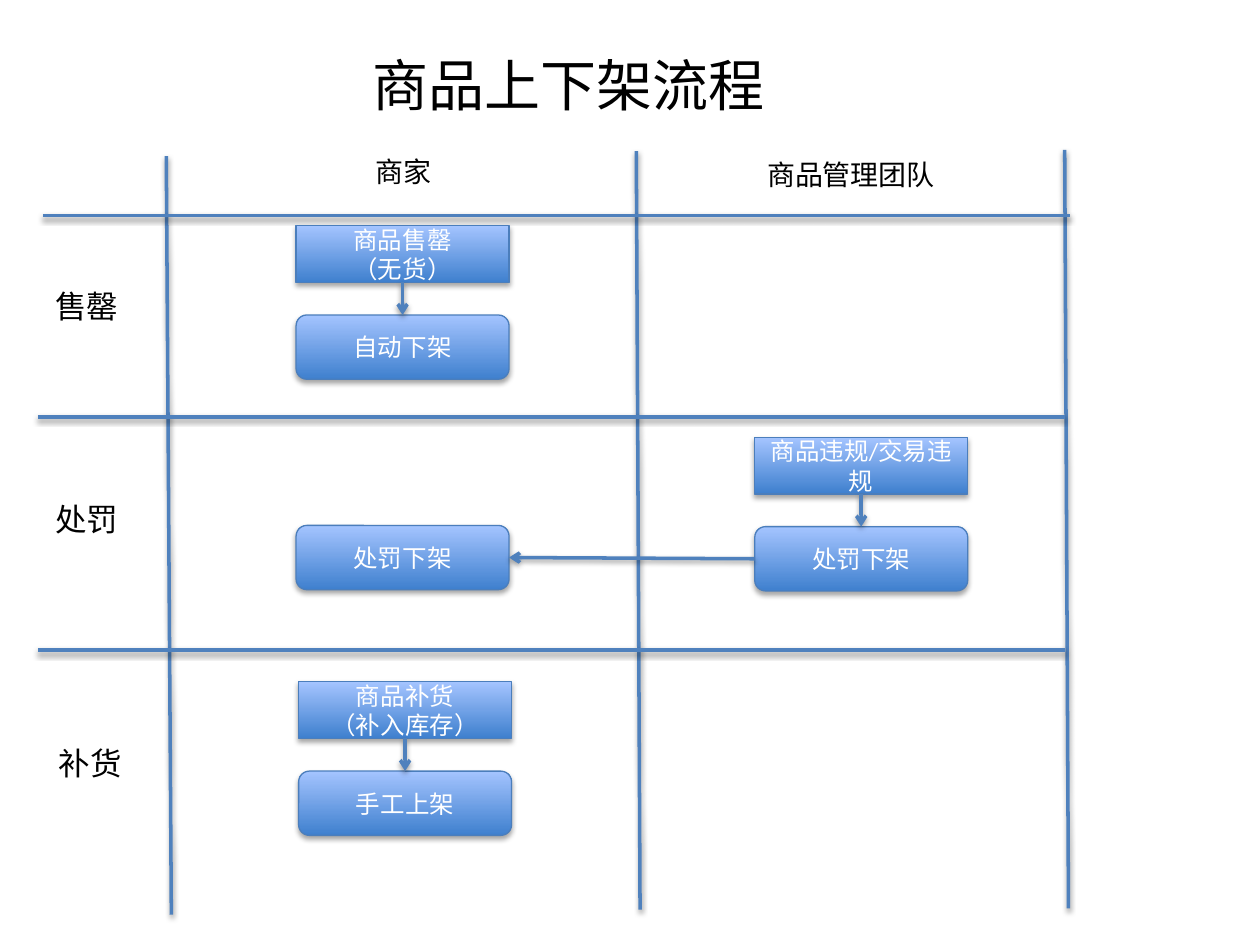
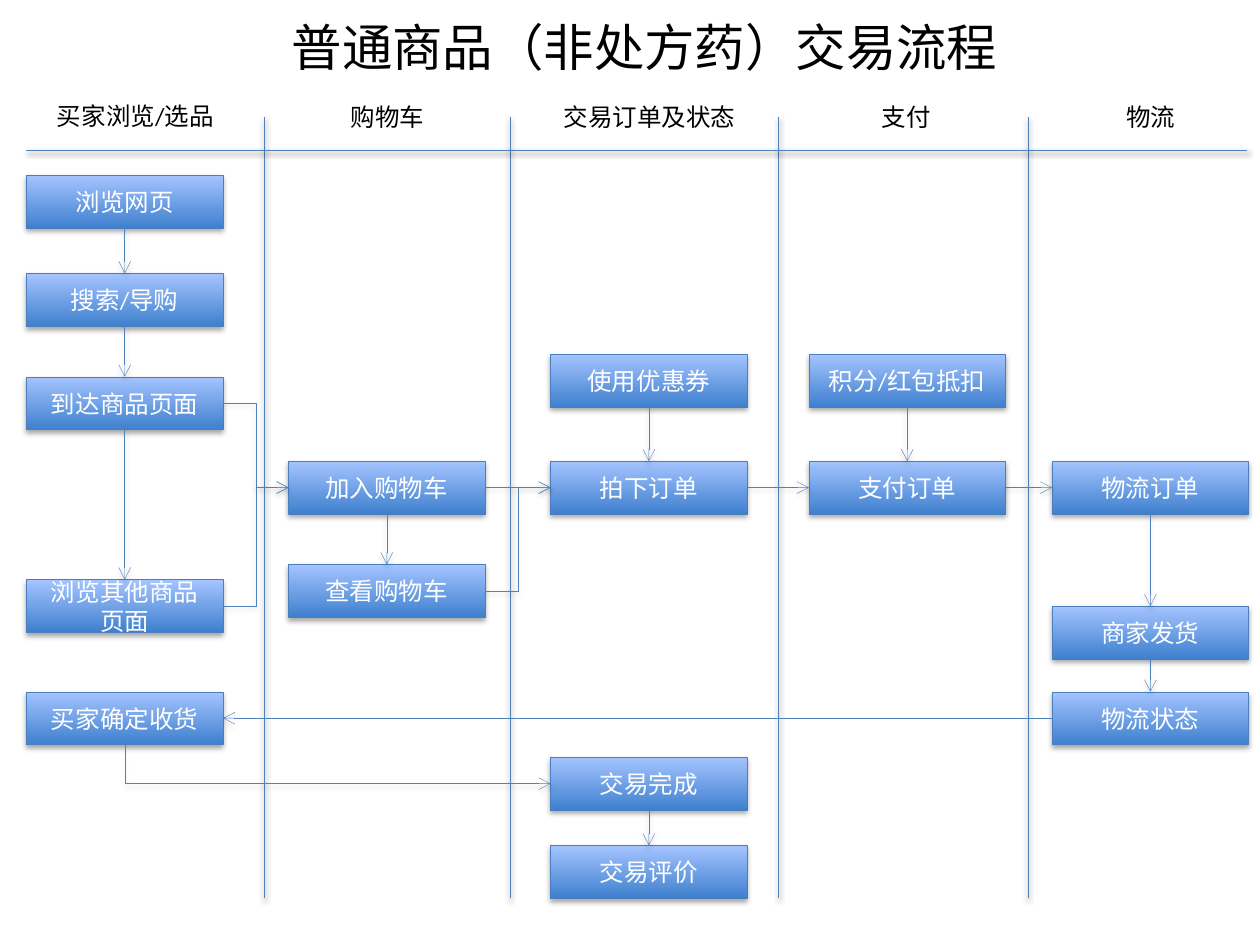
from lxml import etree
from pptx import Presentation
from pptx.dml.color import RGBColor
from pptx.enum.shapes import MSO_CONNECTOR, MSO_SHAPE
from pptx.enum.text import MSO_ANCHOR, MSO_AUTO_SIZE, PP_ALIGN
from pptx.oxml.ns import qn
from pptx.util import Inches, Pt

RECTANGLE, ROUNDED = MSO_SHAPE.RECTANGLE, MSO_SHAPE.ROUNDED_RECTANGLE
STRAIGHT, ELBOW = MSO_CONNECTOR.STRAIGHT, MSO_CONNECTOR.ELBOW
LEFT, CENTER = PP_ALIGN.LEFT, PP_ALIGN.CENTER
MIDDLE = MSO_ANCHOR.MIDDLE
NO_FIT, FIT_SHAPE = MSO_AUTO_SIZE.NONE, MSO_AUTO_SIZE.SHAPE_TO_FIT_TEXT
# Connection sites of a rectangle
SITE_TOP, SITE_LEFT, SITE_BOTTOM, SITE_RIGHT = range(4)

FONT = "Calibri"
COLORS = {
    "text": "000000",
    "box_text": "FFFFFF",
    "box_dark": "3F80CE",
    "box_light": "A4C4FF",
    "box_line": "4B7EBC",
    "line": "4F81BD",
    "shadow": "000000",
}


def color(name):
    return RGBColor.from_string(COLORS[name])


# Shared parts

def add_shadow(shape, opacity, distance):
    """Soft shadow straight below; the line must already be set."""
    effects = etree.SubElement(shape._element.spPr, qn("a:effectLst"))
    shadow = etree.SubElement(
        effects, qn("a:outerShdw"), blurRad=str(Pt(3.1)),
        dist=str(Pt(distance)), dir=str(90 * 60000), rotWithShape="0")
    tone = etree.SubElement(shadow, qn("a:srgbClr"), val=COLORS["shadow"])
    etree.SubElement(tone, qn("a:alpha"), val=str(opacity * 1000))


def write_text(shape, text, size, color_name, align):
    frame = shape.text_frame
    frame.word_wrap = True
    frame.text = text
    for paragraph in frame.paragraphs:
        paragraph.alignment = align
        paragraph.font.size = Pt(size)
        paragraph.font.name = FONT
        paragraph.font.color.rgb = color(color_name)
    return frame


def add_titled_slide(presentation, title, size, left, top, width, height):
    slide = presentation.slides.add_slide(presentation.slide_layouts[5])
    shape = slide.shapes.title
    shape.left, shape.top = Inches(left), Inches(top)
    shape.width, shape.height = Inches(width), Inches(height)
    frame = write_text(shape, title, size, "text", CENTER)
    frame.auto_size = NO_FIT
    frame.vertical_anchor = MIDDLE
    return slide


def add_label(slide, text, left, top, width, height, size, align=LEFT):
    shape = slide.shapes.add_textbox(
        Inches(left), Inches(top), Inches(width), Inches(height))
    write_text(shape, text, size, "text", align).auto_size = FIT_SHAPE


def add_box(slide, text, left, top, width, height, outline, kind=RECTANGLE):
    shape = slide.shapes.add_shape(
        kind, Inches(left), Inches(top), Inches(width), Inches(height))
    shape.fill.gradient()
    shape.fill.gradient_angle = 90
    for stop, name in zip(shape.fill.gradient_stops, ("box_dark", "box_light")):
        stop.color.rgb = color(name)
    shape.line.color.rgb = color("box_line")
    shape.line.width = Pt(outline)
    add_shadow(shape, 35, 1.8)
    write_text(shape, text, 14, "box_text", CENTER).vertical_anchor = MIDDLE
    return shape


def style_line(connector, weight):
    connector.line.color.rgb = color("line")
    connector.line.width = Pt(weight)
    add_shadow(connector, 38, 1.6)


def add_divider(slide, x1, y1, x2, y2, weight):
    connector = slide.shapes.add_connector(
        STRAIGHT, Inches(x1), Inches(y1), Inches(x2), Inches(y2))
    style_line(connector, weight)


def add_arrow(slide, start, start_site, end, end_site, weight, kind=STRAIGHT):
    connector = slide.shapes.add_connector(kind, 0, 0, 0, 0)
    connector.begin_connect(start, start_site)
    connector.end_connect(end, end_site)
    style_line(connector, weight)
    etree.SubElement(connector.line._get_or_add_ln(), qn("a:tailEnd"), type="arrow")
    return connector


def make_single_bend(connector):
    """Turn a down-right elbow into one corner: first down, then right."""
    left, top = connector.left, connector.top
    width, height = connector.width, connector.height
    connector.left = left + (width - height) // 2
    connector.top = top + (height - width) // 2
    connector.width, connector.height = height, width
    properties = connector._element.spPr
    frame = properties.find(qn("a:xfrm"))
    frame.set("rot", str(270 * 60000))
    frame.set("flipH", "1")
    properties.find(qn("a:prstGeom")).set("prst", "bentConnector2")


# Slide 1: listing and delisting of goods

LANE_WEIGHT = 2
STEP_WIDTH, EVENT_HEIGHT, ACTION_HEIGHT = 1.69, 0.45, 0.51


def add_lane_grid(slide, left, top):
    # Columns lean slightly to the right
    for x, y, lean in ((1.02, 0.05, 0.04), (4.75, 0.01, 0.03), (8.15, 0, 0.03)):
        add_divider(slide, left + x, top + y, left + x + lean, top + y + 6.02,
                    LANE_WEIGHT)
    for x, y in ((0.04, 0.52), (0, 2.12), (0, 3.97)):
        add_divider(slide, left + x, top + y, left + x + 8.15, top + y, LANE_WEIGHT)
    for text, x, y, width in (("商家", 2.58, -0.01, 0.97),
                              ("商品管理团队", 5.69, 0.01, 1.9)):
        add_label(slide, text, left + x, top + y, width, 0.37, 16)
    for text, x, y in (("售罄", 0.04, 1.04), ("处罚", 0.04, 2.73), ("补货", 0.07, 4.67)):
        add_label(slide, text, left + x, top + y, 0.83, 0.4, 18)


def add_action(slide, text, left, top):
    return add_box(slide, text, left, top, STEP_WIDTH, ACTION_HEIGHT, 0.75, ROUNDED)


def add_step_pair(slide, event_text, action_text, left, top):
    event = add_box(slide, event_text, left, top, STEP_WIDTH, EVENT_HEIGHT, 0.75)
    action = add_action(slide, action_text, left, top + 0.71)
    add_arrow(slide, event, SITE_BOTTOM, action, SITE_TOP, LANE_WEIGHT)
    return action


def build_listing_slide(presentation):
    slide = add_titled_slide(presentation, "商品上下架流程", 32, 0.95, 0.16, 7.13, 1.02)
    add_lane_grid(slide, 0.3, 1.19)
    add_step_pair(slide, "商品售罄\n（无货）", "自动下架", 2.35, 1.79)
    penalty = add_step_pair(slide, "商品违规/交易违规", "处罚下架", 5.99, 3.47)
    delisted = add_action(slide, "处罚下架", 2.35, 4.17)
    add_arrow(slide, penalty, SITE_LEFT, delisted, SITE_RIGHT, LANE_WEIGHT)
    add_step_pair(slide, "商品补货\n（补入库存）", "手工上架", 2.37, 5.41)


# Slide 2: trade of ordinary goods

TRADE_WEIGHT = 0.25
TRADE_COLUMNS = (0, 2.08, 4.16, 6.21, 8.14)
# Key: text, column, distance from the top of the flow
TRADE_STEPS = {
    "browse": ("浏览网页", 0, 0),
    "search": ("搜索/导购", 0, 0.78),
    "product": ("到达商品页面", 0, 1.6),
    "others": ("浏览其他商品页面", 0, 3.21),
    "received": ("买家确定收货", 0, 4.1),
    "add_cart": ("加入购物车", 1, 2.27),
    "view_cart": ("查看购物车", 1, 3.09),
    "coupon": ("使用优惠券", 2, 1.42),
    "order": ("拍下订单", 2, 2.27),
    "complete": ("交易完成", 2, 4.62),
    "review": ("交易评价", 2, 5.32),
    "points": ("积分/红包抵扣", 3, 1.42),
    "pay": ("支付订单", 3, 2.27),
    "shipment": ("物流订单", 4, 2.27),
    "dispatch": ("商家发货", 4, 3.42),
    "status": ("物流状态", 4, 4.1),
}
DOWNWARD = (("browse", "search"), ("search", "product"), ("product", "others"),
            ("add_cart", "view_cart"), ("coupon", "order"), ("points", "pay"),
            ("shipment", "dispatch"), ("dispatch", "status"), ("complete", "review"))
RIGHTWARD = (("add_cart", "order", STRAIGHT), ("order", "pay", STRAIGHT),
             ("pay", "shipment", STRAIGHT), ("product", "add_cart", ELBOW),
             ("others", "add_cart", ELBOW), ("view_cart", "order", ELBOW))


def add_trade_lanes(slide, left, top):
    for x in (1.89, 3.84, 5.97, 7.95):
        add_divider(slide, left + x, top + 0.18, left + x, top + 6.38, TRADE_WEIGHT)
    add_divider(slide, left, top + 0.44, left + 9.69, top + 0.44, TRADE_WEIGHT)
    headers = (("买家浏览/选品", 0, 0), ("购物车", 2, 0.01), ("交易订单及状态", 4.08, 0.01),
               ("支付", 6.12, 0.01), ("物流", 8.06, 0.01))
    for text, x, y in headers:
        add_label(slide, text, left + x, top + y, 1.73, 0.34, 14, CENTER)


def add_trade_flow(slide, left, top):
    boxes = {
        key: add_box(slide, text, left + TRADE_COLUMNS[column], top + y,
                     1.56, 0.42, 0.25)
        for key, (text, column, y) in TRADE_STEPS.items()
    }
    for start, end in DOWNWARD:
        add_arrow(slide, boxes[start], SITE_BOTTOM, boxes[end], SITE_TOP, TRADE_WEIGHT)
    for start, end, kind in RIGHTWARD:
        add_arrow(slide, boxes[start], SITE_RIGHT, boxes[end], SITE_LEFT,
                  TRADE_WEIGHT, kind)
    # Delivery returns to the buyer, whose receipt completes the trade
    add_arrow(slide, boxes["status"], SITE_LEFT, boxes["received"], SITE_RIGHT,
              TRADE_WEIGHT)
    make_single_bend(add_arrow(slide, boxes["received"], SITE_BOTTOM,
                               boxes["complete"], SITE_LEFT, TRADE_WEIGHT, ELBOW))


def build_trade_slide(presentation):
    slide = add_titled_slide(presentation, "普通商品（非处方药）交易流程", 28.8,
                             1.55, 0.06, 7.13, 0.61)
    add_trade_lanes(slide, 0.21, 0.75)
    add_trade_flow(slide, 0.21, 1.39)


presentation = Presentation()
presentation.slide_width, presentation.slide_height = Inches(10), Inches(7.5)
build_listing_slide(presentation)
build_trade_slide(presentation)
presentation.save("out.pptx")
